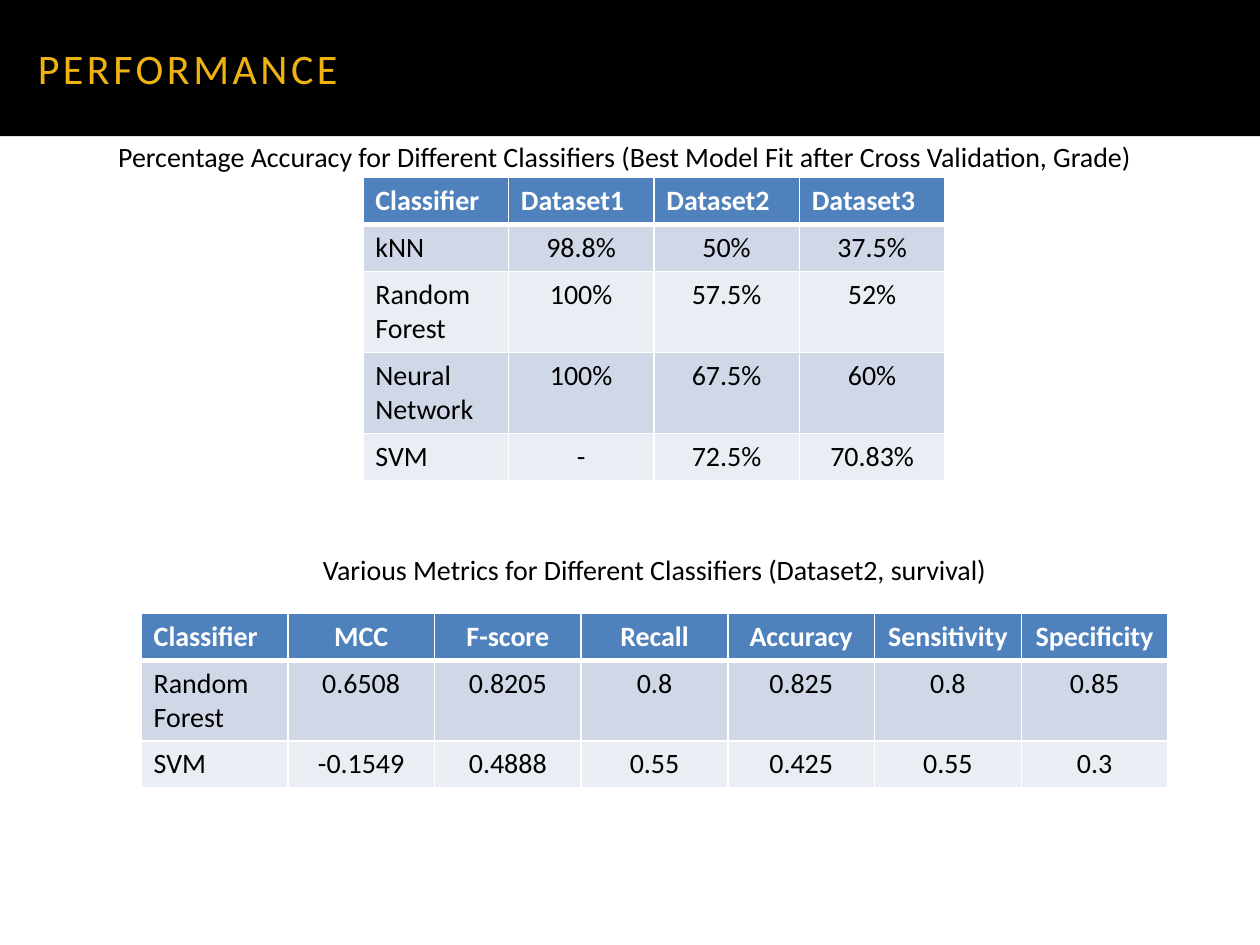
from lxml.etree import SubElement
from pptx import Presentation
from pptx.dml.color import RGBColor
from pptx.enum.text import MSO_ANCHOR, MSO_AUTO_SIZE, PP_ALIGN
from pptx.oxml import parse_xml
from pptx.oxml.ns import nsdecls, qn
from pptx.util import Inches, Pt

COLUMNS, ROWS = 100, 75
SLIDE_WIDTH, SLIDE_HEIGHT = Inches(10), Inches(7.5)
LINE_ROWS, WRAPPED_ROWS = 3.7, 6.4
BLACK, WHITE, GOLD = "000000", "FFFFFF", "EEB211"
HEADER_BLUE, BANDS = "4F81BD", ("D0D8E8", "E9EDF4")

ACCURACY = [
    ["Classifier", "Dataset1", "Dataset2", "Dataset3"],
    ["kNN", "98.8%", "50%", "37.5%"],
    ["Random Forest", "100%", "57.5%", "52%"],
    ["Neural Network", "100%", "67.5%", "60%"],
    ["SVM", "-", "72.5%", "70.83%"],
]
METRICS = [
    ["Classifier", "MCC", "F-score", "Recall", "Accuracy", "Sensitivity", "Specificity"],
    ["Random Forest", "0.6508", "0.8205", "0.8", "0.825", "0.8", "0.85"],
    ["SVM", "-0.1549", "0.4888", "0.55", "0.425", "0.55", "0.3"],
]


def color(hex_value):
    """Turn a hex string into a colour."""
    return RGBColor.from_string(hex_value)


def place(box):
    """Turn left, top, width and height in grid units into slide lengths."""
    left, top, width, height = box
    column, row = SLIDE_WIDTH / COLUMNS, SLIDE_HEIGHT / ROWS
    return int(left * column), int(top * row), int(width * column), int(height * row)


def write(frame, wording, size, hex_value, align=PP_ALIGN.LEFT, bold=False):
    """Fill a text frame with one formatted paragraph and return its run."""
    frame.text = wording
    paragraph = frame.paragraphs[0]
    paragraph.alignment = align
    run = paragraph.runs[0]
    run.font.name, run.font.size, run.font.bold = "Calibri", Pt(size), bold
    run.font.color.rgb = color(hex_value)
    return run


def add_title_band(slide, box, wording):
    """Turn the title placeholder into a dark band across the box."""
    title = slide.shapes.title
    title.left, title.top, title.width, title.height = place(box)
    title.fill.solid()
    title.fill.fore_color.rgb = color(BLACK)
    frame = title.text_frame
    frame.auto_size = MSO_AUTO_SIZE.NONE
    frame.vertical_anchor = MSO_ANCHOR.MIDDLE
    frame.margin_left = Inches(0.3)
    run = write(frame, wording, 24, GOLD)
    run._r.get_or_add_rPr().set("spc", "200")


def add_caption(slide, box, wording, align):
    """Write a table caption in the box."""
    frame = slide.shapes.add_textbox(*place(box)).text_frame
    frame.word_wrap = True
    frame.auto_size = MSO_AUTO_SIZE.SHAPE_TO_FIT_TEXT
    write(frame, wording, 16, BLACK, align)


def set_borders(cell, top, bottom):
    """Give a cell white borders with the given top and bottom widths."""
    properties = cell._tc.get_or_add_tcPr()
    for index, (side, width) in enumerate(zip("LRTB", (1, 1, top, bottom))):
        line = parse_xml(f'<a:ln{side} {nsdecls("a")} w="{int(Pt(width))}"/>')
        fill = SubElement(line, qn("a:solidFill"))
        SubElement(fill, qn("a:srgbClr"), val=WHITE)
        properties.insert(index, line)


def add_results(slide, box, records, header_align):
    """Draw a banded table with equal columns and rows as tall as their labels."""
    frame = slide.shapes.add_table(len(records), len(records[0]), *place(box))
    table = frame.table
    for column in table.columns:
        column.width = place(box)[2] // len(records[0])
    for r, record in enumerate(records):
        header = r == 0
        row_height = WRAPPED_ROWS if " " in record[0] else LINE_ROWS
        table.rows[r].height = int(row_height * SLIDE_HEIGHT / ROWS)
        for c, wording in enumerate(record):
            cell = table.cell(r, c)
            cell.fill.solid()
            cell.fill.fore_color.rgb = color(HEADER_BLUE if header else BANDS[(r - 1) % 2])
            set_borders(cell, 3 if r == 1 else 1, 3 if header else 1)
            value_align = header_align if header else PP_ALIGN.CENTER
            align = value_align if c else PP_ALIGN.LEFT
            write(cell.text_frame, wording, 16, WHITE if header else BLACK, align, header)


def main():
    """Build the performance slide."""
    deck = Presentation()
    deck.slide_width, deck.slide_height = SLIDE_WIDTH, SLIDE_HEIGHT
    slide = deck.slides.add_slide(deck.slide_layouts[5])
    add_title_band(slide, (0, 0, COLUMNS, 10.8), "PERFORMANCE")
    add_results(slide, (28.8, 14.1, 46.2, 23.9), ACCURACY, PP_ALIGN.LEFT)
    add_caption(
        slide, (8.4, 10.6, 83.3, 3.7),
        "Percentage Accuracy for Different Classifiers (Best Model Fit after Cross Validation, Grade)",
        PP_ALIGN.LEFT,
    )
    add_results(slide, (11.2, 48.7, 81.5, 13.8), METRICS, PP_ALIGN.CENTER)
    add_caption(
        slide, (24.4, 43.4, 55.1, 3.7),
        "Various Metrics for Different Classifiers (Dataset2, survival)",
        PP_ALIGN.CENTER,
    )
    deck.save("out.pptx")


if __name__ == "__main__":
    main()
